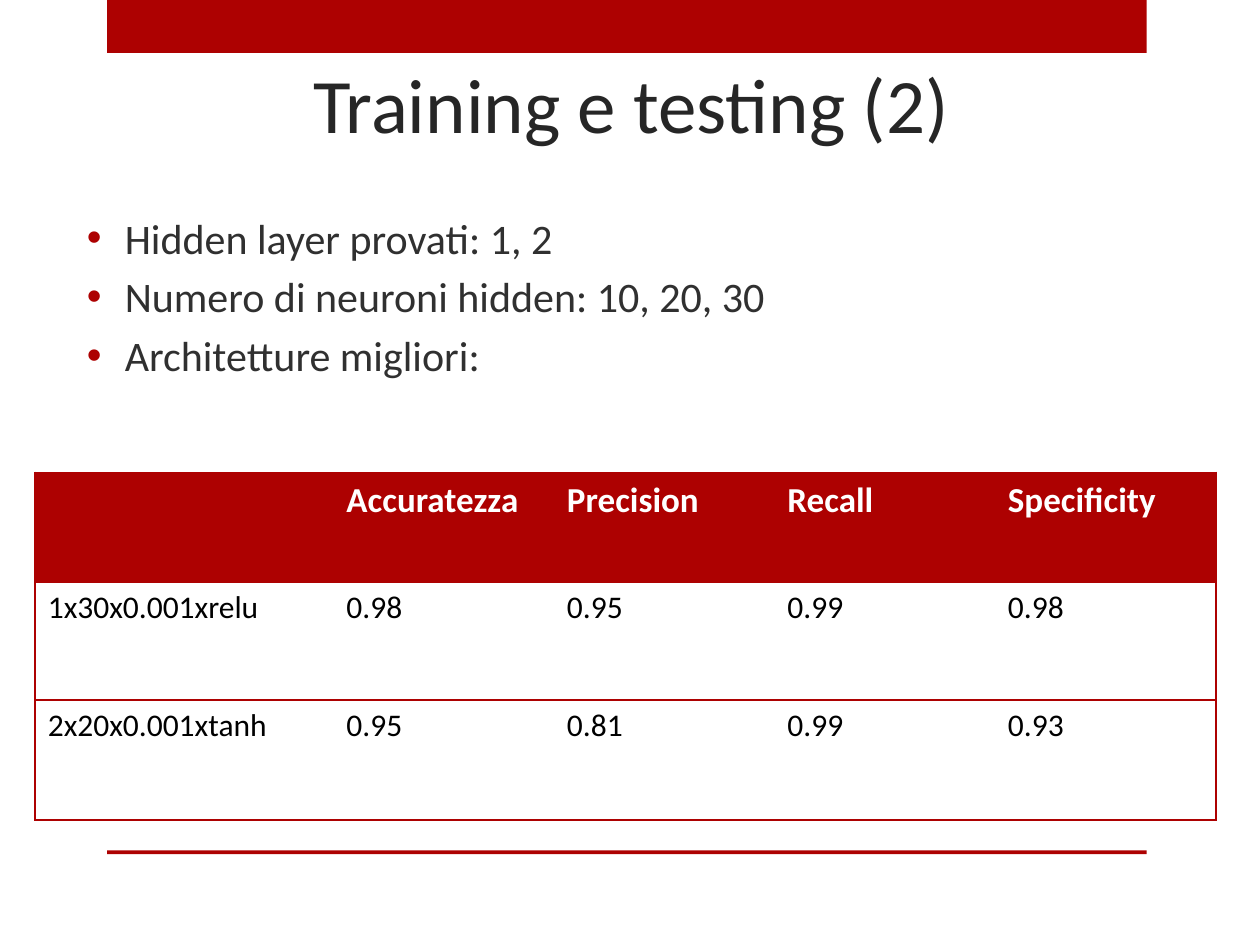
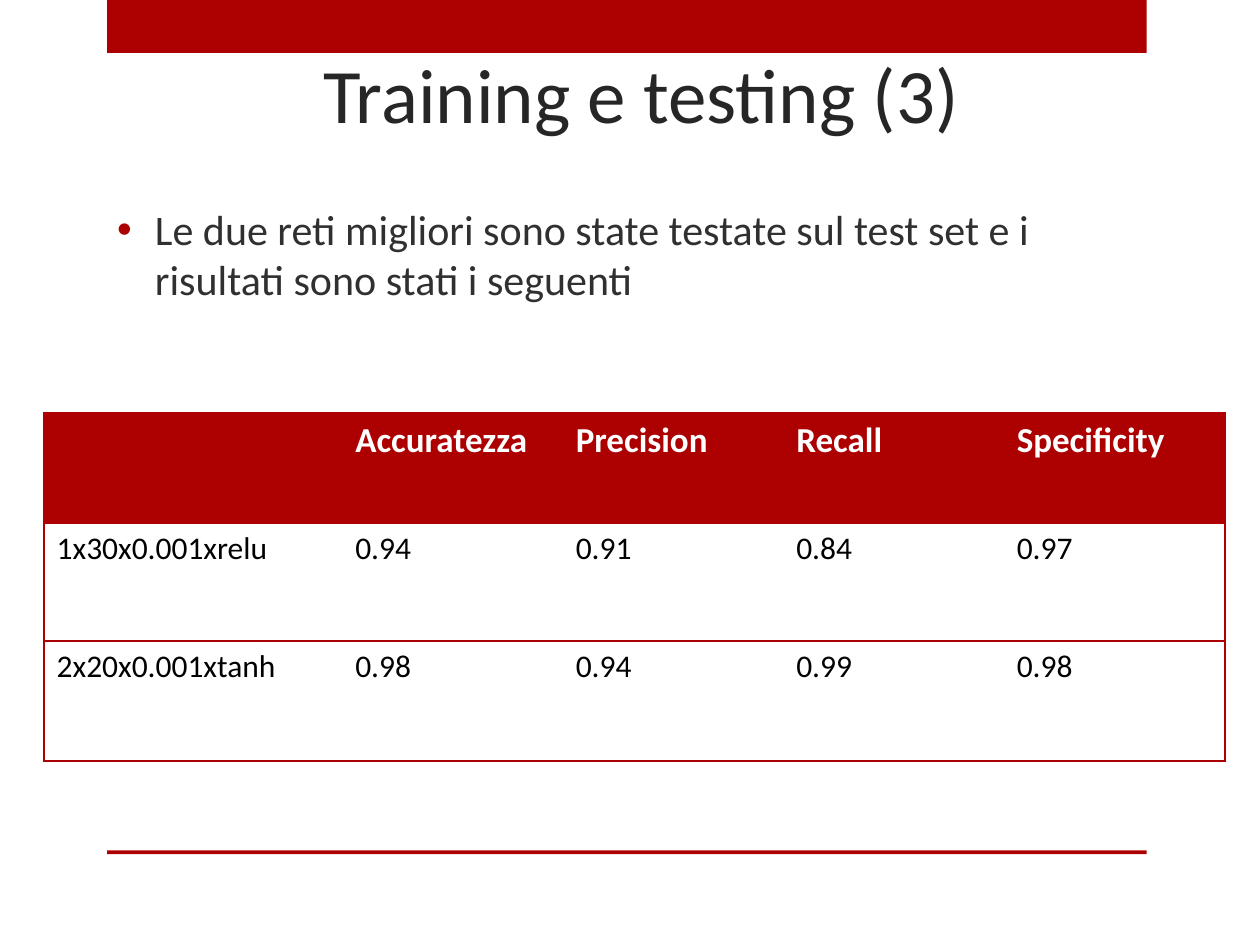
from dataclasses import dataclass
from typing import Any

from lxml import etree
from pptx import Presentation, util as u
from pptx.dml.color import RGBColor
from pptx.enum import shapes, text
from pptx.oxml import parse_xml
from pptx.oxml.ns import nsdecls, qn

WIDE, HIGH = u.Inches(10), u.Inches(7.5)
FACE = "Calibri"
RED, WHITE, BLACK = "AD0101", "FFFFFF", "000000"
DARK, GREY = "262626", "303030"
BARE = "{2D5ABB26-0587-4C30-8999-92F81FD0307C}"  # table style without lines or fills

HEAD = ("", "Accuratezza", "Precision", "Recall", "Specificity")
NETS = ("1x30x0.001xrelu", "2x20x0.001xtanh")
COLS = (23.7,) + (17.5,) * 4
ROWS = (11.6, 12.53, 12.67)


@dataclass(frozen=True)
class Box:
    """Place and size in percent of the slide."""
    left: float
    top: float
    wide: float
    high: float

    def emu(self) -> tuple[int, int, int, int]:
        return across(self.left), down(self.top), across(self.wide), down(self.high)


@dataclass(frozen=True)
class Page:
    title: str
    title_box: Box
    points: tuple[str, ...]
    body_box: Box
    table_at: tuple[float, float]
    scores: tuple[tuple[str, ...], ...]


BANDS = (Box(8.5, 0, 82.5, 5.6), Box(8.5, 90, 82.5, 0.4))
PAGES = (
    Page("Training e testing (2)", Box(13, 3.87, 74.2, 12.53),
         ("Hidden layer provati: 1, 2",
          "Numero di neuroni hidden: 10, 20, 30",
          "Architetture migliori:"),
         Box(5.9, 18.53, 90, 25.6), (2.8, 50),
         (("0.98", "0.95", "0.99", "0.98"),
          ("0.95", "0.81", "0.99", "0.93"))),
    Page("Training e testing (3)", Box(13.8, 2.8, 74.2, 12.53),
         ("Le due reti migliori sono state testate sul test set e i "
          "risultati sono stati i seguenti",),
         Box(8.3, 8, 82.5, 37.73), (3.5, 43.73),
         (("0.94", "0.91", "0.84", "0.97"),
          ("0.98", "0.94", "0.99", "0.98"))),
)


def across(share: float) -> int:
    return round(WIDE * share / 100)


def down(share: float) -> int:
    return round(HIGH * share / 100)


def paint(target: Any, shade: str) -> None:
    """Give a fill or a font a solid colour."""
    if hasattr(target, "solid"):
        target.solid()
        target.fore_color.rgb = RGBColor.from_string(shade)
    else:
        target.color.rgb = RGBColor.from_string(shade)


def style(para: Any, size: float, shade: str, bold: bool = False) -> None:
    font = para.font
    font.name, font.size, font.bold = FACE, u.Pt(size), bold
    paint(font, shade)


def place(shape: Any, box: Box) -> None:
    shape.left, shape.top, shape.width, shape.height = box.emu()


def add_bands(slide: Any) -> None:
    """Put the red bands on the layout that all slides share."""
    layout = slide.slide_layout
    for holder in list(layout.placeholders):
        if holder.placeholder_format.idx >= 10:
            layout.shapes.element.remove(holder.element)
    for box in BANDS:
        band = slide.shapes.add_shape(shapes.MSO_SHAPE.RECTANGLE, *box.emu())
        band.shadow.inherit = False
        paint(band.fill, RED)
        band.line.fill.background()
        layout.shapes.element.append(band.element)


def add_title(slide: Any, page: Page) -> None:
    title = slide.shapes.title
    place(title, page.title_box)
    frame = title.text_frame
    frame.text = page.title
    frame.auto_size = text.MSO_AUTO_SIZE.NONE
    frame.vertical_anchor = text.MSO_ANCHOR.BOTTOM
    para = frame.paragraphs[0]
    para.alignment = text.PP_ALIGN.CENTER
    style(para, 44, DARK)


def add_bullet(para: Any) -> None:
    props = para._p.get_or_add_pPr()
    indent = u.Inches(0.3)
    props.set("marL", str(indent))
    props.set("indent", str(-indent))
    marks = (f'<a:buClr {nsdecls("a")}><a:srgbClr val="{RED}"/></a:buClr>',
             f'<a:buFont {nsdecls("a")} typeface="Arial"/>',
             f'<a:buChar {nsdecls("a")} char="•"/>')
    for mark in marks:
        props.find(qn("a:defRPr")).addprevious(parse_xml(mark))


def add_points(slide: Any, page: Page) -> None:
    body = slide.placeholders[1]
    place(body, page.body_box)
    frame = body.text_frame
    frame.text = "\n".join(page.points)
    frame.auto_size = text.MSO_AUTO_SIZE.NONE
    frame.vertical_anchor = text.MSO_ANCHOR.MIDDLE
    for para in frame.paragraphs:
        para.space_before = u.Pt(4.8)
        style(para, 24, GREY)
        add_bullet(para)


def add_edges(cell: Any, sides: str) -> None:
    """Draw red lines on the given sides, named in the order L, R, T, B."""
    props = cell._tc.get_or_add_tcPr()
    for spot, side in enumerate(sides):
        line = etree.Element(qn(f"a:ln{side}"), w=str(u.Pt(1.25)))
        fill = etree.SubElement(line, qn("a:solidFill"))
        etree.SubElement(fill, qn("a:srgbClr"), val=RED)
        props.insert(spot, line)


def add_scores(slide: Any, page: Page) -> None:
    box = Box(*page.table_at, sum(COLS), sum(ROWS))
    frame = slide.shapes.add_table(len(ROWS), len(COLS), *box.emu())
    table = frame.table
    table.horz_banding = False
    next(frame.element.iter(qn("a:tableStyleId"))).text = BARE
    for col, share in zip(table.columns, COLS):
        col.width = across(share)
    for row, share in zip(table.rows, ROWS):
        row.height = down(share)

    lines = (HEAD, *((net, *vals) for net, vals in zip(NETS, page.scores)))
    for r, line in enumerate(lines):
        for c, word in enumerate(line):
            cell = table.cell(r, c)
            cell.text = word
            para = cell.text_frame.paragraphs[0]
            if r == 0:
                paint(cell.fill, RED)
                style(para, 20, WHITE, bold=True)
            else:
                cell.fill.background()
                style(para, 18, BLACK)
            left = "L" if c == 0 else ""
            right = "R" if c == len(COLS) - 1 else ""
            add_edges(cell, left + right + "TB")


def main() -> None:
    deck = Presentation()
    deck.slide_width, deck.slide_height = WIDE, HIGH
    layout = deck.slide_layouts[1]
    for number, page in enumerate(PAGES):
        slide = deck.slides.add_slide(layout)
        if number == 0:
            add_bands(slide)
        add_title(slide, page)
        add_points(slide, page)
        add_scores(slide, page)
    deck.save("out.pptx")


if __name__ == "__main__":
    main()
